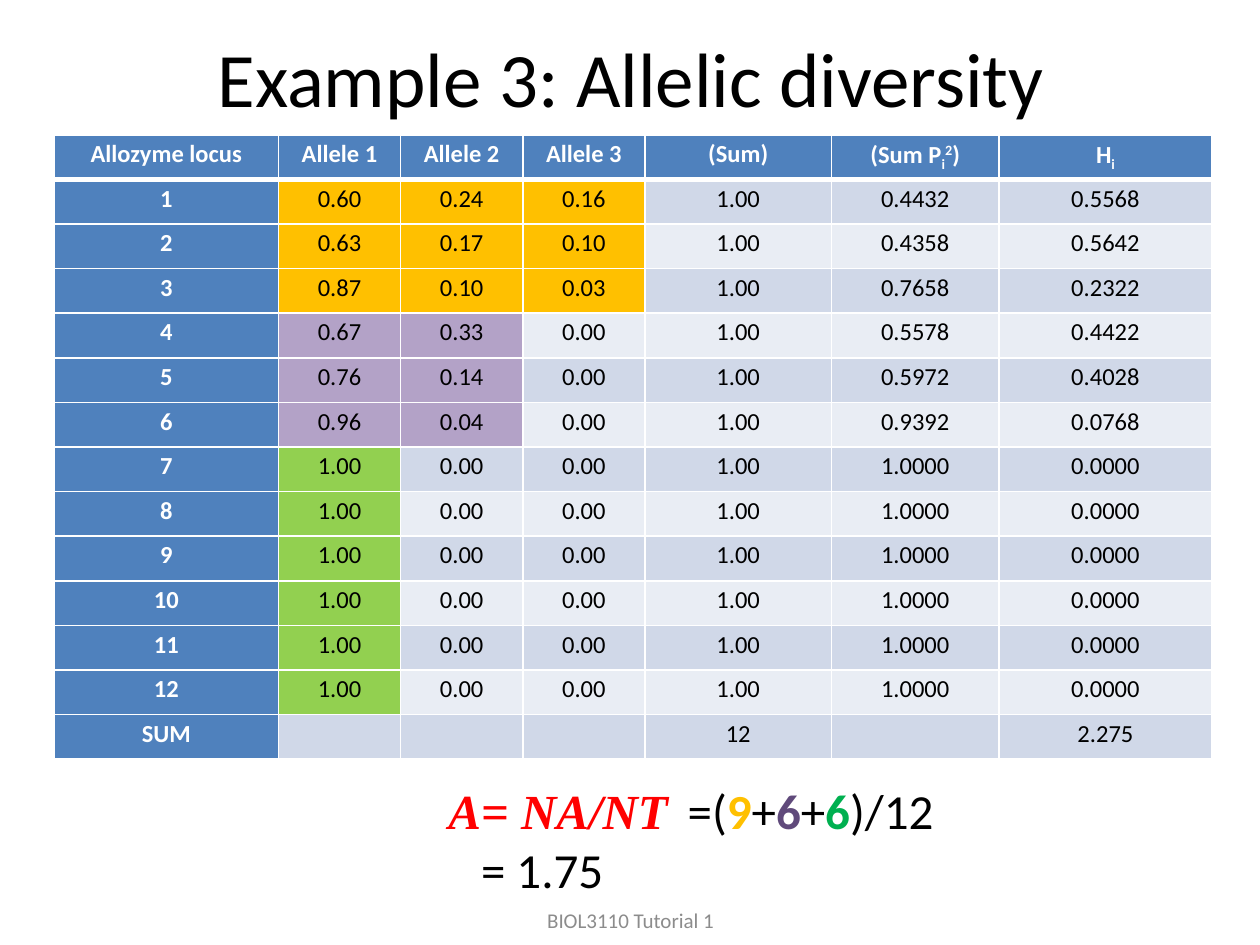
from lxml import etree
from pptx import Presentation
from pptx.dml.color import RGBColor
from pptx.enum.text import MSO_ANCHOR, PP_ALIGN
from pptx.oxml.ns import qn
from pptx.util import Inches, Pt

CENTER, LEFT = PP_ALIGN.CENTER, PP_ALIGN.LEFT
TOP, MIDDLE = MSO_ANCHOR.TOP, MSO_ANCHOR.MIDDLE
TITLE_ONLY = 5

# Grid of 100 columns by 75 rows
SLIDE_WIDTH, SLIDE_HEIGHT = Inches(10), Inches(7.5)
COLUMNS, ROWS = 100, 75

BLACK, WHITE, BLUE, GREY = "000000", "FFFFFF", "4F81BD", "8C8C8C"
BANDS = ("D0D8E8", "E9EDF4")
GOLD, LILAC, LIME = "FFC000", "B3A2C7", "92D050"
PURPLE, GREEN, RED = "604A7B", "00B050", "FF0000"


def color(hex_value):
    return RGBColor.from_string(hex_value)


def across(columns):
    return round(SLIDE_WIDTH * columns / COLUMNS)


def down(rows):
    return round(SLIDE_HEIGHT * rows / ROWS)


class Deck:
    """Holds the text style and the current slide."""

    font = "Calibri"

    def __init__(self):
        self.presentation = Presentation()
        self.presentation.slide_width = SLIDE_WIDTH
        self.presentation.slide_height = SLIDE_HEIGHT
        self.slide = self.presentation.slides.add_slide(
            self.presentation.slide_layouts[TITLE_ONLY])

    def run(self, paragraph, text, size, ink=BLACK, bold=False, italic=False,
            font=None, baseline=0):
        run = paragraph.add_run()
        run.text = text
        run.font.name = font or self.font
        run.font.size = Pt(size)
        run.font.bold = bold
        run.font.italic = italic
        run.font.color.rgb = color(ink)
        if baseline:
            run.font._element.set("baseline", str(baseline * 1000))

    def title(self, text, left, top, width, height):
        title = self.slide.shapes.title
        title.left, title.top = across(left), down(top)
        title.width, title.height = across(width), down(height)
        frame = title.text_frame
        frame.vertical_anchor = MIDDLE
        frame.paragraphs[0].alignment = CENTER
        self.run(frame.paragraphs[0], text, 44)

    def text(self, left, top, width, height, align=LEFT, anchor=TOP):
        box = self.slide.shapes.add_textbox(
            across(left), down(top), across(width), down(height))
        frame = box.text_frame
        frame.word_wrap = True
        frame.vertical_anchor = anchor
        frame.paragraphs[0].alignment = align
        return frame

    def borders(self, cell, top, bottom):
        properties = cell._tc.get_or_add_tcPr()
        sides = (("a:lnL", 1), ("a:lnR", 1), ("a:lnT", top), ("a:lnB", bottom))
        for position, (side, width) in enumerate(sides):
            line = etree.Element(qn(side), w=str(Pt(width)))
            fill = etree.SubElement(line, qn("a:solidFill"))
            etree.SubElement(fill, qn("a:srgbClr"), val=WHITE)
            properties.insert(position, line)

    def cell(self, cell, parts, fill, ink, bold):
        cell.fill.solid()
        cell.fill.fore_color.rgb = color(fill)
        cell.margin_left = cell.margin_right = across(0.7)
        cell.margin_top = cell.margin_bottom = 0
        cell.vertical_anchor = TOP
        if parts:
            paragraph = cell.text_frame.paragraphs[0]
            paragraph.alignment = CENTER
            paragraph.line_spacing = 1.15
            for text, baseline in parts:
                self.run(paragraph, text, 14, ink, bold, baseline=baseline)

    def table(self, records, highlights, widths, left, top, height):
        table = self.slide.shapes.add_table(
            len(records), len(widths), across(left), down(top),
            across(sum(widths)), down(height)).table
        for column, width in zip(table.columns, widths):
            column.width = across(width)
        for r, record in enumerate(records):
            marked, mark = highlights.get(r, (0, None))
            for c, parts in enumerate(record):
                heading = r == 0 or c == 0
                if heading:
                    fill = BLUE
                elif c <= marked:
                    fill = mark
                else:
                    fill = BANDS[(r - 1) % 2]
                cell = table.cell(r, c)
                self.cell(cell, parts, fill, WHITE if heading else BLACK, heading)
                self.borders(cell, 3 if r == 1 else 1, 3 if r == 0 else 1)


def plain(values):
    return [[(value, 0)] if value else [] for value in values]


def allele_records():
    header = plain(["Allozyme locus", "Allele 1", "Allele 2", "Allele 3", "(Sum)"])
    header += [[("(Sum P", 0), ("i", -25), ("2", 30), (")", 0)],
               [("H", 0), ("i", -25)]]
    # Three allele frequencies, sum of squares, heterozygosity
    variable_loci = [
        ("0.60", "0.24", "0.16", "0.4432", "0.5568"),
        ("0.63", "0.17", "0.10", "0.4358", "0.5642"),
        ("0.87", "0.10", "0.03", "0.7658", "0.2322"),
        ("0.67", "0.33", "0.00", "0.5578", "0.4422"),
        ("0.76", "0.14", "0.00", "0.5972", "0.4028"),
        ("0.96", "0.04", "0.00", "0.9392", "0.0768"),
    ]
    fixed_loci = [("1.00", "0.00", "0.00", "1.0000", "0.0000")] * 6
    loci = [plain([str(number), *values[:3], "1.00", *values[3:]])
            for number, values in enumerate(variable_loci + fixed_loci, 1)]
    total = plain(["SUM", "", "", "", "12", "", "2.275"])
    return [header, *loci, total]


def main():
    deck = Deck()
    deck.title("Example 3: Allelic diversity", 5.1, -0.2, 90, 12.5)

    # Formula, with each count in the colour of its group of loci
    formula = deck.text(34.6, 61.45, 60.6, 10.4)
    ratio = formula.paragraphs[0]
    tabs = etree.SubElement(ratio._p.get_or_add_pPr(), qn("a:tabLst"))
    etree.SubElement(tabs, qn("a:tab"), pos=str(across(19)), algn="l")
    deck.run(ratio, "A= NA/NT", 28, RED, True, True, "Times New Roman")
    deck.run(ratio, "\t=(", 28)
    for text, ink in (("9", GOLD), ("+", BLACK), ("6", PURPLE),
                      ("+", BLACK), ("6", GREEN), (")/12", BLACK)):
        deck.run(ratio, text, 28, ink, bold=ink != BLACK)
    result = formula.add_paragraph()
    result._p.get_or_add_pPr().set("marL", str(across(2.6)))
    deck.run(result, "= 1.75", 28)

    # Allele frequencies, marked by the number of alleles at each locus
    highlights = {}
    for loci, alleles, mark in ((range(1, 4), 3, GOLD), (range(4, 7), 2, LILAC),
                                (range(7, 13), 1, LIME)):
        highlights.update({locus: (alleles, mark) for locus in loci})
    deck.table(allele_records(), highlights,
               (17.8, 9.7, 9.7, 9.7, 14.8, 13.3, 16.9), 4.3, 10.7, 49.6)

    # Footer
    footer = deck.text(34.2, 71, 31.7, 4, CENTER, MIDDLE)
    deck.run(footer.paragraphs[0], "BIOL3110 Tutorial 1", 12, GREY)

    deck.presentation.save("out.pptx")


if __name__ == "__main__":
    main()
